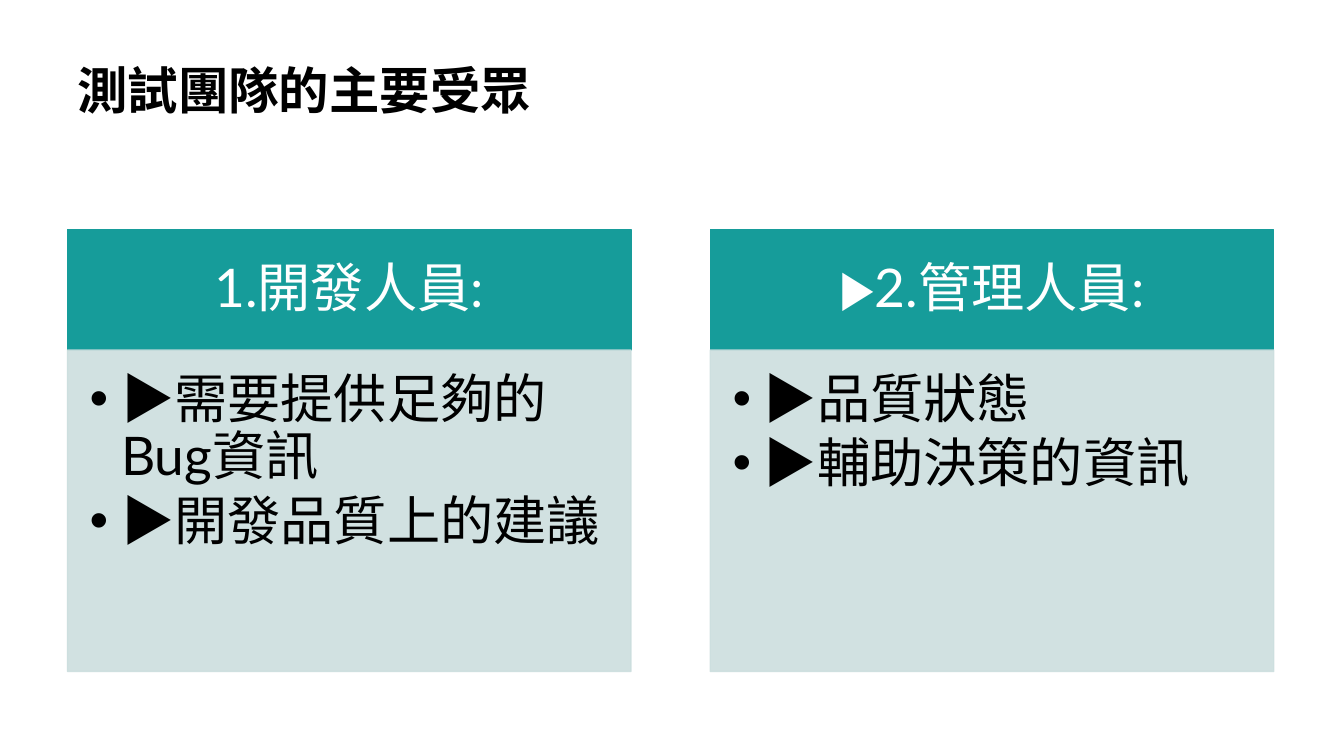
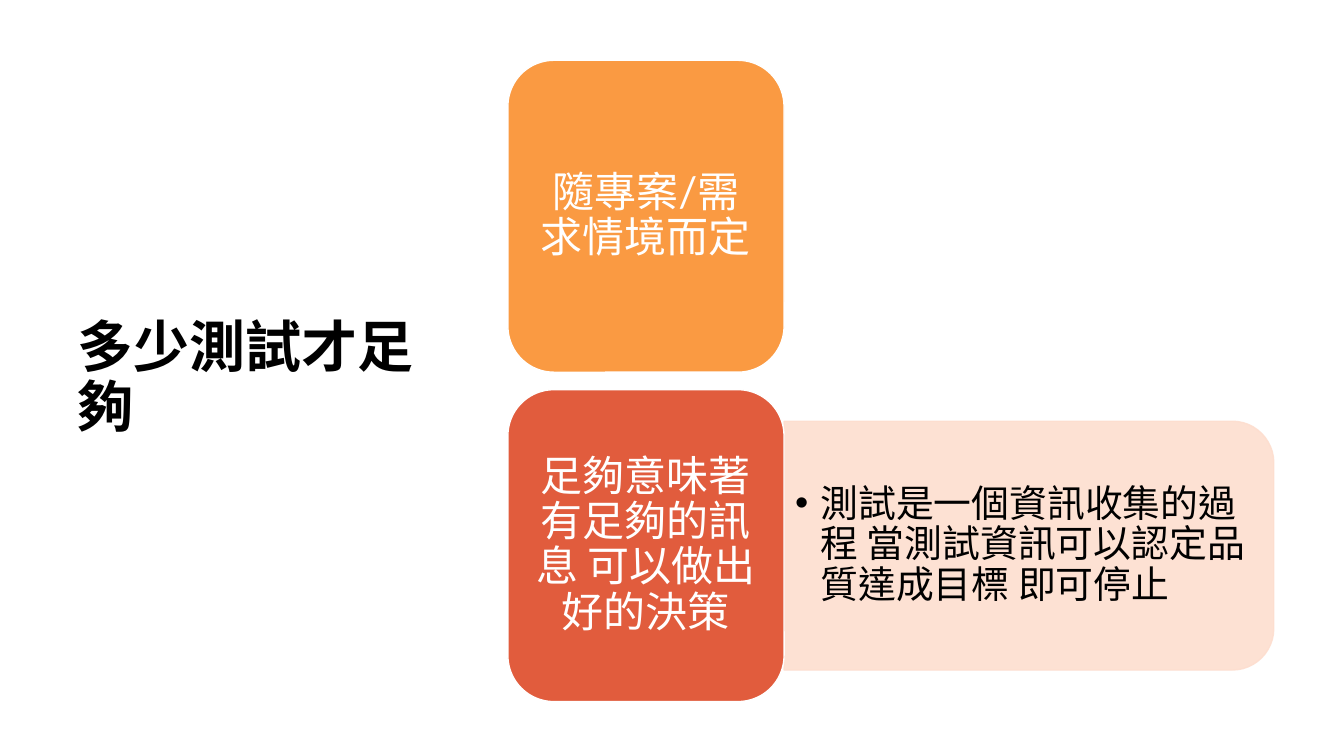
from lxml import etree
from pptx import Presentation
from pptx import util as u
from pptx.dml.color import RGBColor
from pptx.enum import lang, shapes, text
from pptx.oxml.ns import qn

TEAL, MIST = "169C9A", "CCDEDE"
AMBER, RUST, PEACH = "FA9A42", "E15C3D", "FDDECF"
WHITE, BLACK = "FFFFFF", "000000"
MID, TOP = text.MSO_ANCHOR.MIDDLE, text.MSO_ANCHOR.TOP
LEFT, CENTER = text.PP_ALIGN.LEFT, text.PP_ALIGN.CENTER
KIND = shapes.MSO_SHAPE


def rgb(code):
    return RGBColor.from_string(code)


class Deck:
    font = {"name": "Lato", "bold": False,
            "language_id": lang.MSO_LANGUAGE_ID.TRADITIONAL_CHINESE}
    edge = 1.7      # left margin
    head = 1.52     # top margin
    wide = 30.4     # width between the margins

    def __init__(self):
        self.prs = Presentation()
        self.prs.slide_width, self.prs.slide_height = u.Cm(33.87), u.Cm(19.05)

    def page(self, layout):
        self.slide = self.prs.slides.add_slide(self.prs.slide_layouts[layout])

    def place(self, shape, box):
        for key, val in zip(("left", "top", "width", "height"), box):
            setattr(shape, key, u.Cm(val))

    def paint(self, shape, fill, line, alpha=None):
        shape.fill.solid()
        shape.fill.fore_color.rgb = rgb(fill)
        shape.line.color.rgb = rgb(line)
        shape.line.width = u.Pt(1)
        if alpha:
            for tint in shape._element.spPr.iter(qn("a:srgbClr")):
                etree.SubElement(tint, qn("a:alpha"), val=str(alpha * 1000))

    def letter(self, shape, lines, size, color, align=LEFT, anchor=MID,
               pad=(0.25, 0.13, 0.25, 0.13), hang=0, **font):
        frame = shape.text_frame
        form = {"word_wrap": True, "auto_size": text.MSO_AUTO_SIZE.NONE,
                "vertical_anchor": anchor}
        sides = ("left", "top", "right", "bottom")
        form.update({"margin_" + s: u.Cm(p) for s, p in zip(sides, pad)})
        for key, val in form.items():
            setattr(frame, key, val)
        for i, line in enumerate(lines):
            para = frame.add_paragraph() if i else frame.paragraphs[0]
            if hang:
                self.bullet(para, hang)
            form = {"alignment": align, "line_spacing": 0.9,
                    "space_before": u.Pt(0),
                    "space_after": u.Pt(5 if hang else 0)}
            for key, val in form.items():
                setattr(para, key, val)
            run = para.add_run()
            run.text = line
            for key, val in {**self.font, "size": u.Pt(size), **font}.items():
                setattr(run.font, key, val)
            run.font.color.rgb = rgb(color)

    def bullet(self, para, hang):
        props = para._p.get_or_add_pPr()
        props.set("marL", str(u.Cm(hang)))
        props.set("indent", str(-u.Cm(hang)))
        etree.SubElement(props, qn("a:buFont"), typeface="Arial")
        etree.SubElement(props, qn("a:buChar"), char="•")

    def title(self, line, size, width, height, anchor):
        shape = self.slide.shapes.title
        self.place(shape, (self.edge, self.head, width, height))
        self.letter(shape, [line], size, BLACK, anchor=anchor, bold=True)

    def block(self, kind, box, fill, line, alpha=None):
        shape = self.slide.shapes.add_shape(kind, *map(u.Cm, box))
        shape.shadow.inherit = False
        self.paint(shape, fill, line, alpha)
        return shape

    def label(self, kind, box, fill, line, words, size, pad):
        shape = self.block(kind, box, fill, line)
        self.letter(shape, [words], size, WHITE, CENTER, pad=pad)

    def tab(self, box, fill):
        """Panel with its two right corners rounded."""
        x, y, w, h = box
        turned = (x + (w - h) / 2, y + (h - w) / 2, h, w)
        shape = self.block(KIND.ROUND_2_SAME_RECTANGLE, turned, fill, fill, 90)
        shape.rotation = 90

    def items(self, slot, box, lines, size, fill=None, **form):
        shape = self.slide.placeholders[slot]
        self.place(shape, box)
        if fill:
            self.paint(shape, fill, fill, 90)
        self.letter(shape, lines, size, BLACK, **form)
        self.slide.shapes._spTree.append(shape._element)  # bring to front


def readers(deck):
    deck.page(3)
    deck.title("測試團隊的主要受眾", 36, deck.wide, 3.15, TOP)
    # Two columns: a band over a list
    groups = [
        ("1.開發人員:", ["▶需要提供足夠的Bug資訊", "▶開發品質上的建議"]),
        ("▶2.管理人員:", ["▶品質狀態", "▶輔助決策的資訊"]),
    ]
    width, top, band, tall = 14.2, 5.79, 3.03, 8.1
    step = deck.wide - width
    for i, (name, lines) in enumerate(groups):
        x = deck.edge + i * step
        deck.label(KIND.RECTANGLE, (x, top, width, band), TEAL, TEAL, name,
                   38, (0.76, 0.43, 0.76, 0.43))
        deck.items(i + 1, (x, top + band, width, tall), lines, 38, MIST,
                   anchor=TOP, pad=(0.56, 0.56, 0.76, 0.84), hang=0.79)


def enough(deck):
    deck.page(1)
    deck.title("多少測試才足夠", 40, 9.7, 16.08, MID)
    left, width, tall, gap = 12.8, 6.96, 7.86, 0.44
    low = deck.head + tall + gap
    # Detail panel beside the lower box
    side, long, high = left + width, 12.34, 6.27
    deck.tab((side, low + (tall - high) / 2, long, high), PEACH)
    deck.items(1, (side, low + 1.1, 12.04, 5.66),
               ["測試是一個資訊收集的過程 當測試資訊可以認定品質達成目標 即可停止"],
               27, pad=(0.28, 0.15, 0.28, 0.15), hang=0.64)
    # Stacked boxes
    boxes = [(AMBER, "隨專案/需求情境而定"),
             (RUST, "足夠意味著 有足夠的訊息 可以做出好的決策")]
    for i, (fill, words) in enumerate(boxes):
        y = deck.head + i * (tall + gap)
        deck.label(KIND.ROUNDED_RECTANGLE, (left, y, width, tall), fill, WHITE,
                   words, 30, (0.3, 0.15, 0.3, 0.15))


def main():
    deck = Deck()
    readers(deck)
    enough(deck)
    deck.prs.save("out.pptx")


if __name__ == "__main__":
    main()
